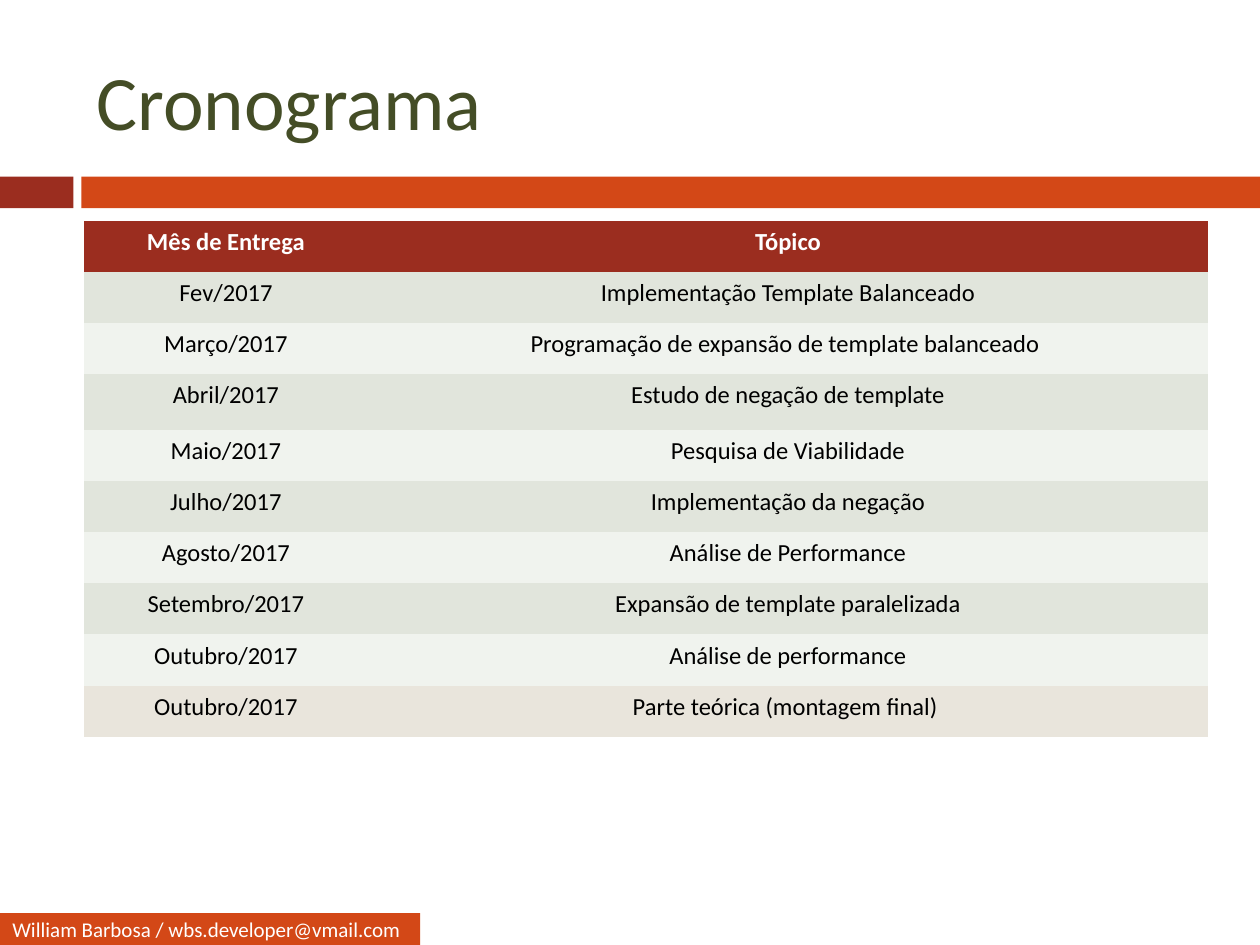
from typing import NamedTuple

from pptx import Presentation, util as u
from pptx.dml.color import RGBColor
from pptx.enum import shapes, text

COLORS = {
    "red": "9B2D1F", "orange": "D34817", "olive": "444D26",
    "white": "FFFFFF", "black": "000000",
    "band_dark": "E1E5DC", "band_light": "F0F3EE", "final": "E9E5DC",
}
FONT = "Calibri"
NO_GRID_STYLE = "{2D5ABB26-0587-4C30-8999-92F81FD0307C}"


class Bar(NamedTuple):
    left: float
    top: float
    width: float
    color: str
    label: str = ""


class Delivery(NamedTuple):
    month: str
    topic: str
    height: float = 1.03


BAR_HEIGHT = 0.64
BARS = [
    Bar(0, 3.56, 1.48, "red"),
    Bar(1.64, 3.56, 23.76, "orange"),
    Bar(0, 18.41, 8.47, "orange", "William Barbosa / wbs.developer@vmail.com"),
]

COLUMN_WIDTHS = (5.71, 16.95)
SCHEDULE = [
    Delivery("Mês de Entrega", "Tópico"),
    Delivery("Fev/2017", "Implementação Template Balanceado"),
    Delivery("Março/2017", "Programação de expansão de template balanceado "),
    Delivery("Abril/2017", "Estudo de negação de template", 1.13),
    Delivery("Maio/2017", "Pesquisa de Viabilidade"),
    Delivery("Julho/2017", "Implementação da negação"),
    Delivery("Agosto/2017", "Análise de Performance"),
    Delivery("Setembro/2017", "Expansão de template paralelizada"),
    Delivery("Outubro/2017", "Análise de performance"),
    Delivery("Outubro/2017", "Parte teórica (montagem final) "),
]


def rgb(name: str) -> RGBColor:
    return RGBColor.from_string(COLORS[name])


def write(tf, content: str, *, size: float, color: str, bold: bool = False,
          align=text.PP_ALIGN.LEFT) -> None:
    p = tf.paragraphs[0]
    p.alignment = align
    r = p.add_run()
    r.text = content
    r.font.name, r.font.size, r.font.bold = FONT, u.Pt(size), bold
    r.font.color.rgb = rgb(color)


def add_bar(s, bar: Bar) -> None:
    sp = s.shapes.add_shape(shapes.MSO_SHAPE.RECTANGLE, u.Cm(bar.left), u.Cm(bar.top),
                            u.Cm(bar.width), u.Cm(BAR_HEIGHT))
    sp.shadow.inherit = False
    sp.fill.solid()
    sp.fill.fore_color.rgb = rgb(bar.color)
    sp.line.fill.background()
    if bar.label:
        tf = sp.text_frame
        tf.margin_top = tf.margin_bottom = 0
        tf.vertical_anchor = text.MSO_ANCHOR.MIDDLE
        write(tf, bar.label, size=12, color="white")


def add_title(s, title: str) -> None:
    sp = s.shapes.add_textbox(u.Cm(1.7), u.Cm(0.64), u.Cm(22.66), u.Cm(2.74))
    tf = sp.text_frame
    tf.word_wrap = True
    tf.vertical_anchor = text.MSO_ANCHOR.MIDDLE
    write(tf, title, size=44, color="olive")


def row_color(index: int) -> str:
    if index == 0:
        return "red"
    if index == len(SCHEDULE) - 1:
        return "final"
    return "band_dark" if index % 2 else "band_light"


def add_schedule(s) -> None:
    frame = s.shapes.add_table(len(SCHEDULE), len(COLUMN_WIDTHS), u.Cm(1.7), u.Cm(4.45),
                               u.Cm(sum(COLUMN_WIDTHS)),
                               u.Cm(sum(d.height for d in SCHEDULE)))
    table = frame.table
    # Plain table style without grid lines
    table._tbl.tblPr.find("{*}tableStyleId").text = NO_GRID_STYLE
    for column, width in zip(table.columns, COLUMN_WIDTHS):
        column.width = u.Cm(width)
    for i, delivery in enumerate(SCHEDULE):
        table.rows[i].height = u.Cm(delivery.height)
        for j, content in enumerate((delivery.month, delivery.topic)):
            cell = table.cell(i, j)
            cell.fill.solid()
            cell.fill.fore_color.rgb = rgb(row_color(i))
            write(cell.text_frame, content, size=14, bold=i == 0,
                  color="black" if i else "white", align=text.PP_ALIGN.CENTER)


def main() -> None:
    prs = Presentation()
    prs.slide_width, prs.slide_height = u.Cm(25.4), u.Cm(19.05)
    s = prs.slides.add_slide(prs.slide_layouts[6])
    # Title strip and footer
    for bar in BARS:
        add_bar(s, bar)
    add_title(s, "Cronograma")
    # Delivery schedule
    add_schedule(s)
    prs.save("out.pptx")


if __name__ == "__main__":
    main()
